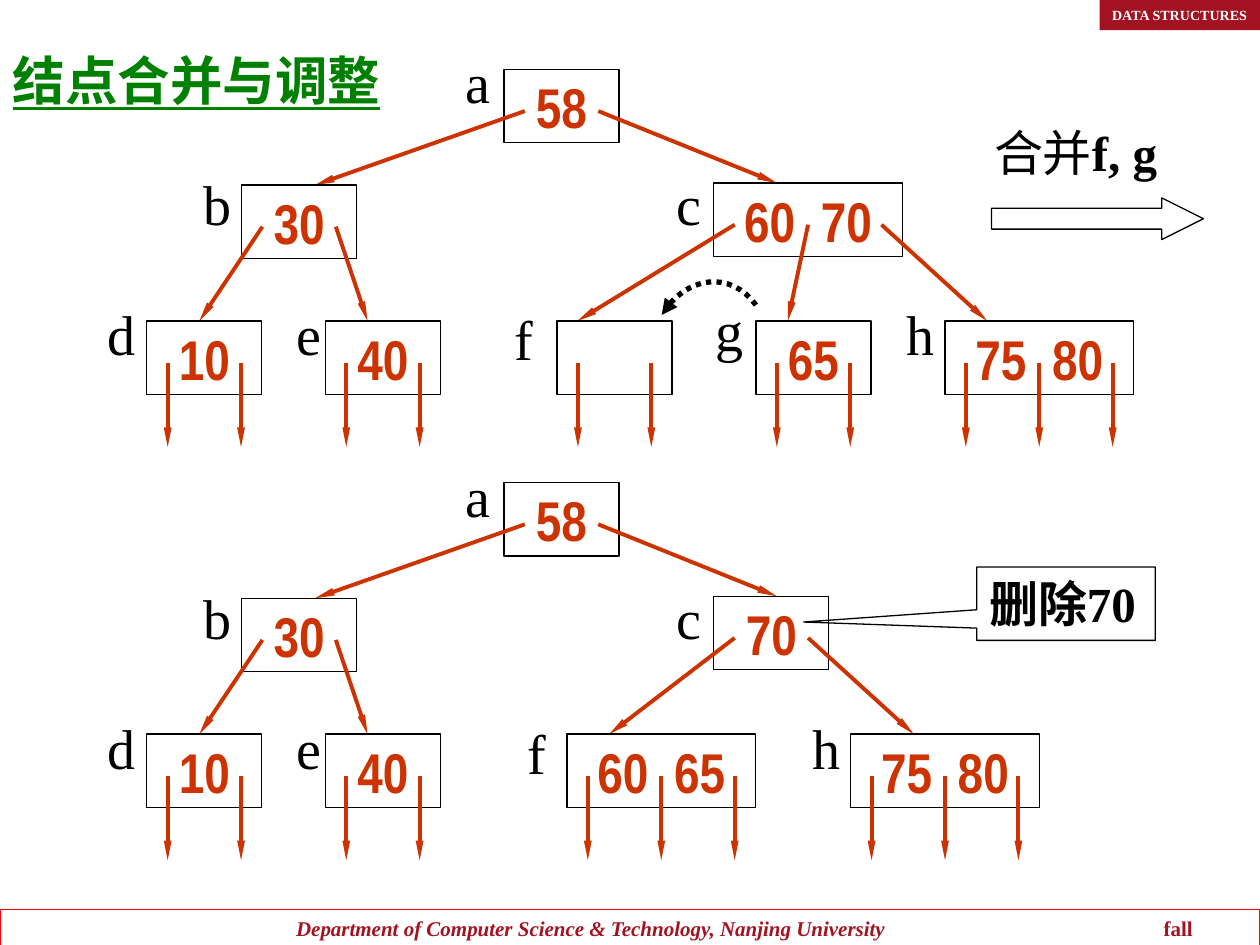
from dataclasses import dataclass

from lxml import etree
from pptx import Presentation
from pptx import util as u
from pptx.dml.color import RGBColor
from pptx.enum import dml, shapes, text
from pptx.oxml.ns import qn


@dataclass(frozen=True)
class Theme:
    """Colours, fonts and type sizes of the slide."""
    ink: str = "000000"
    key: str = "CC3300"
    title: str = "008000"
    brand: str = "A31221"
    frame: str = "FF0000"
    white: str = "FFFFFF"
    serif: str = "Times New Roman"
    narrow: str = "Arial Narrow"
    node_size: float = 32
    title_size: float = 30
    note_size: float = 28
    footer_size: float = 12
    badge_size: float = 8


@dataclass(frozen=True)
class Node:
    """A tree node in centimetres, with the place of its label and its parent's arrow."""
    name: str
    left: float
    top: float
    keys: tuple
    label: tuple
    entry: float = 0
    children: str = ""


THEME = Theme()
SLOT_INSET, SLOT_STEP, SLOT_DROP = 0.42, 1.48, 0.84
NODE_HEIGHT, LEAF_REACH, TREE_OFFSET = 1.48, 2.54, 8.33
LEFT_SIDE = (
    Node("a", 10.16, 1.40, ("58",), (9.14, 0.84), children="bc"),
    Node("b", 4.87, 3.73, ("30",), (3.86, 3.30), 6.35, "de"),
    Node("d", 2.96, 6.47, ("10",), (1.91, 5.92), 4.02),
    Node("e", 6.56, 6.47, ("40",), (5.72, 5.92), 7.41),
)
BEFORE = LEFT_SIDE + (
    Node("c", 14.39, 3.69, ("60", "70"), (13.39, 3.30), 15.66, "fgh"),
    Node("f", 11.23, 6.47, ("",), (10.13, 6.02), 11.64),
    Node("g", 15.24, 6.47, ("65",), (14.17, 5.84), 15.88),
    Node("h", 19.05, 6.47, ("75", "80"), (18.03, 5.92), 19.90),
)
AFTER = LEFT_SIDE + (
    Node("c", 14.39, 3.69, ("70",), (13.39, 3.30), 15.66, "fh"),
    Node("f", 11.43, 6.47, ("60", "65"), (10.39, 6.02), 12.28),
    Node("h", 17.15, 6.47, ("75", "80"), (16.13, 5.92), 18.42),
)


def add_run(paragraph, words, size, color, font=THEME.serif, bold=False, italic=False):
    """Add one formatted run to a paragraph and return it."""
    run = paragraph.add_run()
    run.text = words
    run.font.size = u.Pt(size)
    run.font.name = font
    run.font.bold = bold
    run.font.italic = italic
    run.font.color.rgb = RGBColor.from_string(color)
    return run


def set_frame(shape, align=text.PP_ALIGN.LEFT, anchor=text.MSO_ANCHOR.TOP, wrap=True):
    """Set up the text frame of a shape and return its first paragraph."""
    frame = shape.text_frame
    frame.auto_size = text.MSO_AUTO_SIZE.NONE
    frame.word_wrap = wrap
    frame.vertical_anchor = anchor
    paragraph = frame.paragraphs[0]
    paragraph.alignment = align
    return paragraph


def add_label(slide, left, top, width, height):
    """Add a text box and return its paragraph."""
    box = slide.shapes.add_textbox(u.Cm(left), u.Cm(top), u.Cm(width), u.Cm(height))
    return set_frame(box)


def add_outline(slide, kind, left, top, width, height, line=THEME.ink):
    """Add an unfilled preset shape with a thin line."""
    shape = slide.shapes.add_shape(kind, u.Cm(left), u.Cm(top), u.Cm(width), u.Cm(height))
    shape.shadow.inherit = False
    shape.fill.background()
    shape.line.color.rgb = RGBColor.from_string(line)
    shape.line.width = u.Pt(0.75)
    return shape


def add_head(shape, width, length):
    """Put a triangular head at the far end of a line."""
    line = shape._element.spPr.find(qn("a:ln"))
    etree.SubElement(line, qn("a:tailEnd"), type="triangle", w=width, len=length)


def add_arrow(slide, start, end):
    """Add a pointer arrow between two points."""
    arrow = slide.shapes.add_connector(
        shapes.MSO_CONNECTOR.STRAIGHT, *(u.Cm(value) for value in (*start, *end)))
    arrow.line.color.rgb = RGBColor.from_string(THEME.key)
    arrow.line.width = u.Pt(2.25)
    add_head(arrow, "sm", "lg")
    etree.SubElement(arrow._element.spPr, qn("a:effectLst"))


def add_node(slide, node, offset):
    """Add the box, keys and label of one node."""
    width = 2 * SLOT_INSET + SLOT_STEP * len(node.keys)
    box = add_outline(slide, shapes.MSO_SHAPE.RECTANGLE,
                      node.left, node.top + offset, width, NODE_HEIGHT)
    paragraph = set_frame(box, text.PP_ALIGN.CENTER, text.MSO_ANCHOR.MIDDLE, False)
    for index, key in enumerate(node.keys):
        if index:
            gap = add_run(paragraph, " ", THEME.node_size, THEME.key, THEME.narrow, True)
            gap.font._element.set("spc", "730")
        if key:
            add_run(paragraph, key, THEME.node_size, THEME.key, THEME.narrow, True)
    left, top = node.label
    add_run(add_label(slide, left, top + offset, 1.15, 1.63),
            node.name, THEME.node_size, THEME.ink)


def add_pointers(slide, node, nodes, offset):
    """Add an arrow from every pointer slot of a node."""
    top = node.top + offset
    for index in range(len(node.keys) + 1):
        x = node.left + SLOT_INSET + SLOT_STEP * index
        end = (x, top + LEAF_REACH)
        if node.children:
            child = nodes[node.children[index]]
            end = (child.entry, child.top + offset)
        add_arrow(slide, (x, top + SLOT_DROP), end)


def add_tree(slide, tree, offset=0):
    """Add a whole tree, shifted down by an offset."""
    nodes = {node.name: node for node in tree}
    for node in tree:
        add_node(slide, node, offset)
        add_pointers(slide, node, nodes, offset)


def add_merge_curve(slide):
    """Add the dotted arrow that leads from g to f."""
    controls = ((15.24, 6.15), (14.73, 5.44), (13.82, 5.56), (13.34, 6.35))
    points = []
    for step in range(17):
        t = step / 16
        weights = ((1 - t) ** 3, 3 * t * (1 - t) ** 2, 3 * t * t * (1 - t), t ** 3)
        points.append(tuple(u.Cm(sum(w * c[axis] for w, c in zip(weights, controls)))
                            for axis in (0, 1)))
    builder = slide.shapes.build_freeform(*points[0])
    builder.add_line_segments(points[1:], close=False)
    curve = builder.convert_to_shape()
    curve.shadow.inherit = False
    curve.fill.background()
    curve.line.color.rgb = RGBColor.from_string(THEME.ink)
    curve.line.width = u.Pt(3)
    curve.line.dash_style = dml.MSO_LINE.ROUND_DOT
    add_head(curve, "med", "med")


def add_page_frame(slide):
    """Add the course badge and the footer."""
    footer = add_outline(slide, shapes.MSO_SHAPE.RECTANGLE, 0, 18.34, 25.4, 0.76, THEME.frame)
    paragraph = set_frame(footer)
    tabs = etree.SubElement(paragraph._p.get_or_add_pPr(), qn("a:tabLst"))
    for position in (5.72, 23.21):
        etree.SubElement(tabs, qn("a:tab"), pos=str(u.Cm(position)), algn="l")
    department = "\tDepartment of Computer Science & Technology, Nanjing University"
    add_run(paragraph, department, THEME.footer_size, THEME.brand, bold=True, italic=True)
    add_run(paragraph, "\tfall", THEME.footer_size, THEME.brand, bold=True)
    badge = add_outline(slide, shapes.MSO_SHAPE.RECTANGLE, 22.17, 0, 3.38, 0.61)
    badge.fill.solid()
    badge.fill.fore_color.rgb = RGBColor.from_string(THEME.brand)
    badge.line.fill.background()
    add_run(set_frame(badge), "DATA STRUCTURES", THEME.badge_size, THEME.white, bold=True)


def add_title(slide, words):
    """Move and fill the title placeholder."""
    title = slide.shapes.title
    title.left, title.top, title.width, title.height = map(u.Cm, (0, 0.84, 9.73, 1.52))
    run = add_run(set_frame(title), words, THEME.title_size, THEME.title, bold=True)
    run.font.underline = True


def add_notes_on_steps(slide):
    """Add the merge arrow with its caption and the deletion callout."""
    arrow = add_outline(slide, shapes.MSO_SHAPE.RIGHT_ARROW, 19.99, 3.99, 4.27, 0.84)
    arrow.adjustments[1] = 1
    caption = add_label(slide, 19.79, 2.34, 4.04, 1.45)
    add_run(caption, "合并", THEME.note_size, THEME.ink)
    add_run(caption, "f, g", THEME.note_size, THEME.ink, bold=True)
    callout = add_outline(slide, shapes.MSO_SHAPE.RECTANGULAR_CALLOUT, 19.69, 11.43, 3.6, 1.48)
    callout.adjustments[0], callout.adjustments[1] = -1.47, 0.25
    callout.text_frame.margin_right = u.Cm(0.1)
    add_run(set_frame(callout, wrap=False), "删除70", THEME.note_size, THEME.ink, bold=True)


def main():
    """Build and save the slide."""
    presentation = Presentation()
    presentation.slide_width, presentation.slide_height = u.Cm(25.4), u.Cm(19.05)
    slide = presentation.slides.add_slide(presentation.slide_layouts[5])
    add_page_frame(slide)
    add_title(slide, "结点合并与调整")
    add_tree(slide, BEFORE)
    add_merge_curve(slide)
    add_tree(slide, AFTER, TREE_OFFSET)
    add_notes_on_steps(slide)
    presentation.save("out.pptx")


if __name__ == "__main__":
    main()
